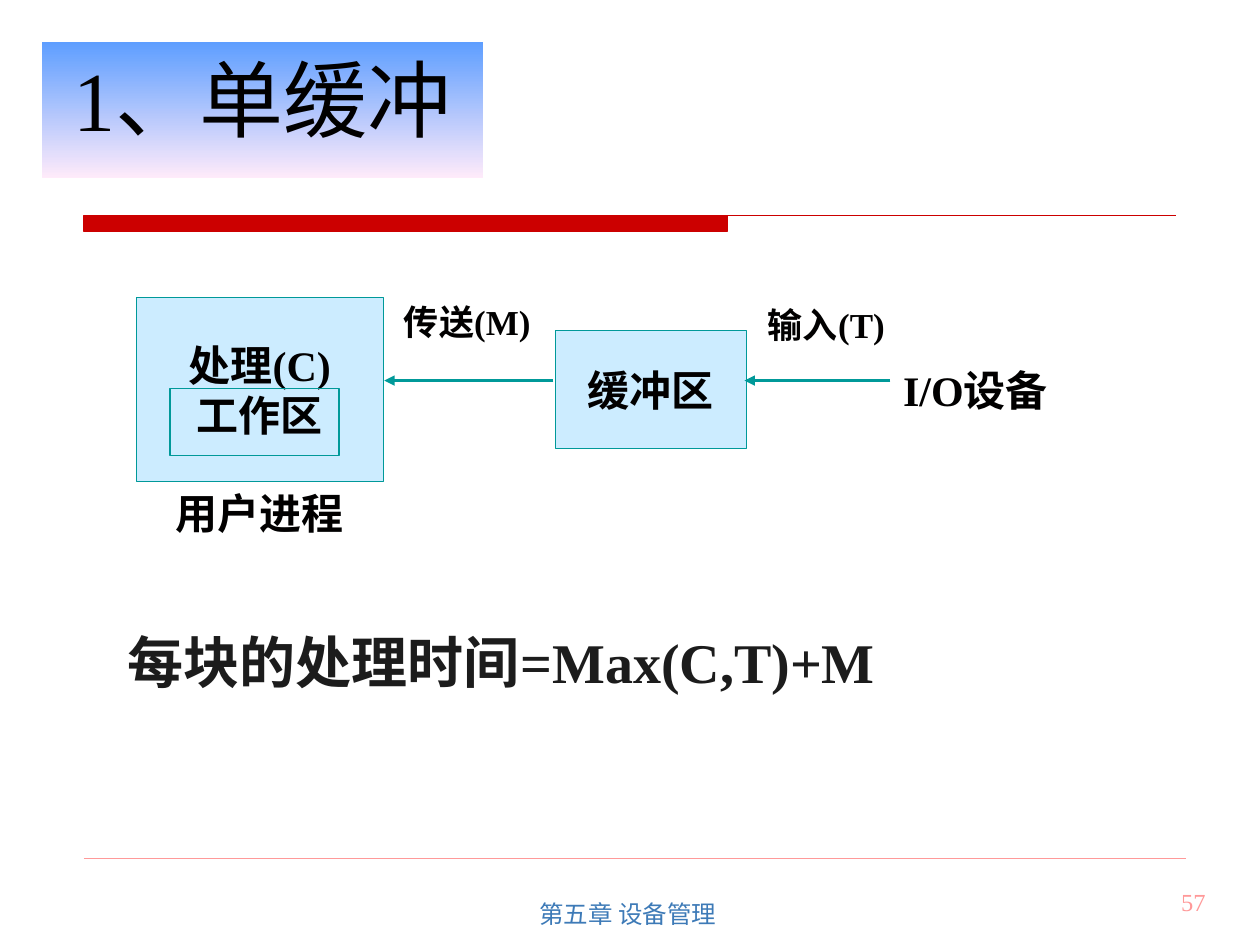
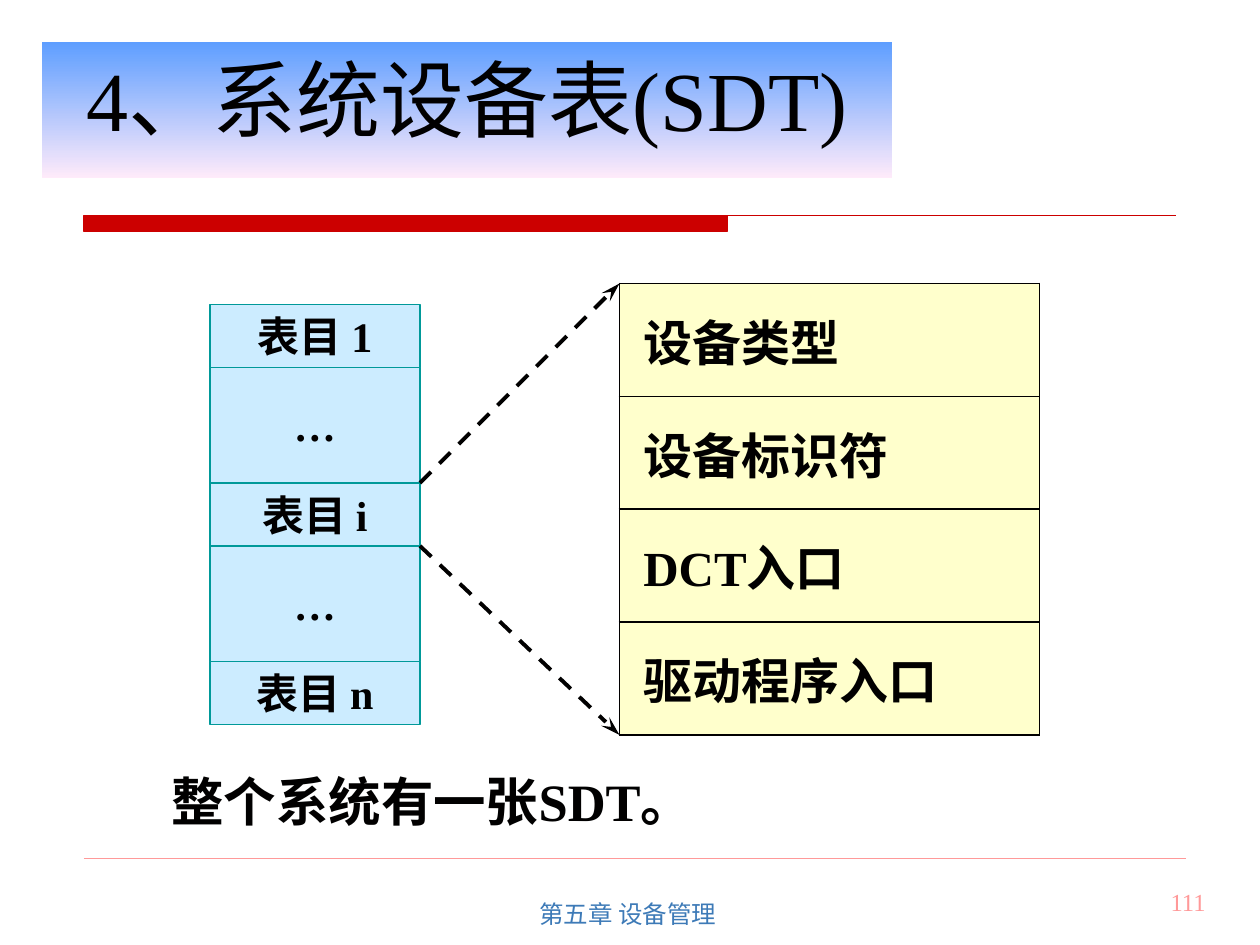
"""Builds two lecture slides on buffering and the system device table."""
from dataclasses import dataclass
from itertools import accumulate
from typing import Optional

from lxml import etree
from pptx import Presentation
from pptx import util as u
from pptx.dml.color import RGBColor
from pptx.enum import dml, shapes, text
from pptx.oxml import ns

INK = RGBColor(0x01, 0x00, 0x00)
CHARCOAL = RGBColor(0x1C, 0x1C, 0x1C)
RED = RGBColor(0xCC, 0x00, 0x00)
PINK = RGBColor(0xFF, 0x99, 0x99)
FOOTER_BLUE = RGBColor(0x3D, 0x7A, 0xB7)
TITLE_TOP = RGBColor(0x5E, 0x9E, 0xFF)
TITLE_BOTTOM = RGBColor(0xFF, 0xEB, 0xFA)
TEAL = RGBColor(0x00, 0x99, 0x99)
PALE_BLUE = RGBColor(0xCC, 0xEC, 0xFF)
PALE_YELLOW = RGBColor(0xFF, 0xFF, 0xCC)

SERIF = "Times New Roman"
CHAPTER = "第五章 设备管理"
LEFT, CENTER, RIGHT = text.PP_ALIGN.LEFT, text.PP_ALIGN.CENTER, text.PP_ALIGN.RIGHT
TOP, MIDDLE = text.MSO_ANCHOR.TOP, text.MSO_ANCHOR.MIDDLE
COLUMNS, ROWS = 120, 90
WIDTH, HEIGHT = u.Inches(10), u.Inches(7.5)
RULE_ROW = 20.52


@dataclass(frozen=True)
class Place:
    """Position and size in grid columns and rows."""
    col: float
    row: float
    cols: float
    rows: float

    def emu(self) -> tuple[int, int, int, int]:
        """Return left, top, width and height."""
        return (across(self.col), down(self.row), across(self.cols), down(self.rows))


@dataclass(frozen=True)
class Style:
    """Look of a piece of text."""
    size: float = 24
    color: RGBColor = INK
    bold: bool = True
    font: str = SERIF
    align: text.PP_ALIGN = CENTER
    anchor: text.MSO_ANCHOR = MIDDLE
    wrap: bool = False
    indent: float = 0.1
    spacing: Optional[float] = None


@dataclass(frozen=True)
class Label:
    """Free text on the grid."""
    place: Place
    words: str
    style: Style


@dataclass(frozen=True)
class Block:
    """Rectangle with optional fill and lines of text."""
    place: Place
    lines: tuple[str, ...] = ()
    fill: Optional[RGBColor] = PALE_BLUE
    line: Optional[RGBColor] = TEAL
    style: Style = Style()


@dataclass(frozen=True)
class Stroke:
    """Straight line between two grid points."""
    start: tuple[float, float]
    end: tuple[float, float]
    color: RGBColor
    width: float = 0.75
    arrow: Optional[str] = None
    arrow_length: str = "med"
    dashed: bool = False


DIAGRAM = Style()
TRANSFER = Style(size=20, anchor=TOP)
TITLE = Style(size=48, bold=False, wrap=True, spacing=0.7)
NUMBER = Style(size=14, color=PINK, bold=False, align=RIGHT, anchor=TOP, wrap=True)
FOOTER = Style(size=14, color=FOOTER_BLUE, bold=False, font="Arial", wrap=True)
FORMULA = Style(size=32, color=CHARCOAL, align=LEFT, anchor=TOP, wrap=True)
CAPTION = Style(size=30, align=LEFT, anchor=TOP, wrap=True, indent=0.6)
FIELD = Style(size=28, align=LEFT, indent=0.19)


def across(cols: float) -> int:
    """Convert grid columns to a length."""
    return round(WIDTH * cols / COLUMNS)


def down(rows: float) -> int:
    """Convert grid rows to a length."""
    return round(HEIGHT * rows / ROWS)


def write(frame, lines: tuple[str, ...], style: Style) -> None:
    """Fill a text frame, one paragraph for each line."""
    for index, words in enumerate(lines):
        paragraph = frame.add_paragraph() if index else frame.paragraphs[0]
        paragraph.alignment = style.align
        if style.spacing:
            paragraph.line_spacing = style.spacing
        run = paragraph.add_run()
        run.text = words
        run.font.name, run.font.size = style.font, u.Pt(style.size)
        run.font.bold = style.bold
        run.font.color.rgb = style.color


def set_frame(frame, lines: tuple[str, ...], style: Style) -> None:
    """Set wrapping, anchor and indent, then write the lines."""
    frame.word_wrap = style.wrap
    frame.vertical_anchor = style.anchor
    frame.margin_left = u.Inches(style.indent)
    write(frame, lines, style)


def draw_label(slide, label: Label) -> None:
    """Add free text."""
    box = slide.shapes.add_textbox(*label.place.emu())
    set_frame(box.text_frame, (label.words,), label.style)


def draw_block(slide, block: Block):
    """Add a rectangle and return it."""
    rect = slide.shapes.add_shape(shapes.MSO_SHAPE.RECTANGLE, *block.place.emu())
    rect.shadow.inherit = False
    if block.fill is None:
        rect.fill.background()
    else:
        rect.fill.solid()
        rect.fill.fore_color.rgb = block.fill
    if block.line is None:
        rect.line.fill.background()
    else:
        rect.line.color.rgb = block.line
        rect.line.width = u.Pt(0.75)
    set_frame(rect.text_frame, block.lines, block.style)
    return rect


def draw_stroke(slide, stroke: Stroke) -> None:
    """Add a line, dashed or with an arrowhead if asked."""
    (x1, y1), (x2, y2) = stroke.start, stroke.end
    connector = slide.shapes.add_connector(
        shapes.MSO_CONNECTOR.STRAIGHT, across(x1), down(y1), across(x2), down(y2))
    connector.line.color.rgb = stroke.color
    connector.line.width = u.Pt(stroke.width)
    if stroke.dashed:
        connector.line.dash_style = dml.MSO_LINE.DASH
    properties = connector._element.spPr
    if stroke.arrow:
        line = properties.find(ns.qn("a:ln"))
        etree.SubElement(line, ns.qn("a:tailEnd"), type=stroke.arrow,
                         w="med", len=stroke.arrow_length)
    etree.SubElement(properties, ns.qn("a:effectLst"))


def draw_title(slide, words: str, cols: float) -> None:
    """Add the title on its gradient band."""
    band = draw_block(slide, Block(Place(4, 4, cols, 13), (words,), None, None, TITLE))
    band.fill.gradient()
    band.fill.gradient_angle = 270
    for stop, color in zip(band.fill.gradient_stops, (TITLE_TOP, TITLE_BOTTOM)):
        stop.color.rgb = color


def start_slide(deck, title: str, title_cols: float, number: int):
    """Add a blank slide with rules, title, number and footer."""
    slide = deck.slides.add_slide(deck.slide_layouts[6])
    draw_stroke(slide, Stroke((8, 81.75), (113, 81.75), PINK))
    draw_label(slide, Label(Place(91, 83.9, 25, 6), str(number), NUMBER))
    draw_stroke(slide, Stroke((8, RULE_ROW), (112, RULE_ROW), RED))
    draw_block(slide, Block(Place(8, RULE_ROW, 61.25, 1.55), fill=RED, line=RED))
    draw_title(slide, title, title_cols)
    draw_label(slide, Label(Place(40.8, 84, 38, 6), CHAPTER, FOOTER))
    return slide


def border_cell(cell) -> None:
    """Draw a thin dark border on all four sides of a cell."""
    properties = cell._tc.get_or_add_tcPr()
    for side in ("lnL", "lnR", "lnT", "lnB"):
        line = etree.SubElement(properties, ns.qn(f"a:{side}"), w=str(u.Pt(1.08)))
        fill = etree.SubElement(line, ns.qn("a:solidFill"))
        etree.SubElement(fill, ns.qn("a:srgbClr"), val=str(INK))


def draw_fields(slide, place: Place, fields: tuple[str, ...]) -> None:
    """Add the one-column table of entry fields."""
    table = slide.shapes.add_table(len(fields), 1, *place.emu()).table
    table.first_row = table.horz_banding = False
    for row, words in zip(table.rows, fields):
        row.height = down(place.rows / len(fields))
        cell = row.cells[0]
        border_cell(cell)
        cell.fill.solid()
        cell.fill.fore_color.rgb = PALE_YELLOW
        cell.vertical_anchor = FIELD.anchor
        cell.margin_left = u.Inches(FIELD.indent)
        write(cell.text_frame, (words,), FIELD)


def build_single_buffer(deck) -> None:
    """Build the slide on single buffering."""
    slide = start_slide(deck, "1、单缓冲", 42, 57)
    for block in (
        Block(Place(13, 28.35, 23.5, 17.5), ("处理(C)", "工作区")),
        Block(Place(52.9, 31.5, 18.2, 11.2), ("缓冲区",)),
        Block(Place(16.2, 37, 16.1, 6.4), fill=None),
    ):
        draw_block(slide, block)
    for start, end in ((84.8, 70.9), (52.7, 36.6)):
        draw_stroke(slide, Stroke((start, 36.25), (end, 36.25), TEAL, 1.5, "triangle"))
    for label in (
        Label(Place(83.8, 31.5, 18.2, 11.2), "I/O设备", DIAGRAM),
        Label(Place(14, 45.85, 21.5, 6), "用户进程", Style(anchor=TOP, wrap=True)),
        Label(Place(36.5, 28, 16, 5.3), "传送(M)", TRANSFER),
        Label(Place(70.7, 28.3, 16, 5.3), "输入(T)", TRANSFER),
        Label(Place(11, 59.2, 97, 7.7), "每块的处理时间=Max(C,T)+M", FORMULA),
    ):
        draw_label(slide, label)


def build_device_table(deck) -> None:
    """Build the slide on the system device table."""
    slide = start_slide(deck, "4、系统设备表(SDT)", 81, 111)
    fields = Place(59, 27, 40, 43)
    draw_fields(slide, fields, ("设备类型", "设备标识符", "DCT入口", "驱动程序入口"))
    entries = ("表目 1", "…", "表目 i", "…", "表目 n")
    heights = [11 if entry == "…" else 6 for entry in entries]
    edges = list(accumulate(heights, initial=29))
    for entry, top, height in zip(entries, edges, heights):
        draw_block(slide, Block(Place(20, top, 20, height), (entry,)))
    chosen = entries.index("表目 i")
    targets = (fields.row, fields.row + fields.rows)
    for edge, target in zip(edges[chosen:chosen + 2], targets):
        draw_stroke(slide, Stroke((40, edge), (fields.col, target), INK, 2.25,
                                  "stealth", "lg", dashed=True))
    draw_label(slide, Label(Place(9.1, 72.7, 66, 7.2), "整个系统有一张SDT。", CAPTION))


def main() -> None:
    """Build and save the deck."""
    deck = Presentation()
    deck.slide_width, deck.slide_height = WIDTH, HEIGHT
    build_single_buffer(deck)
    build_device_table(deck)
    deck.save("out.pptx")


if __name__ == "__main__":
    main()
